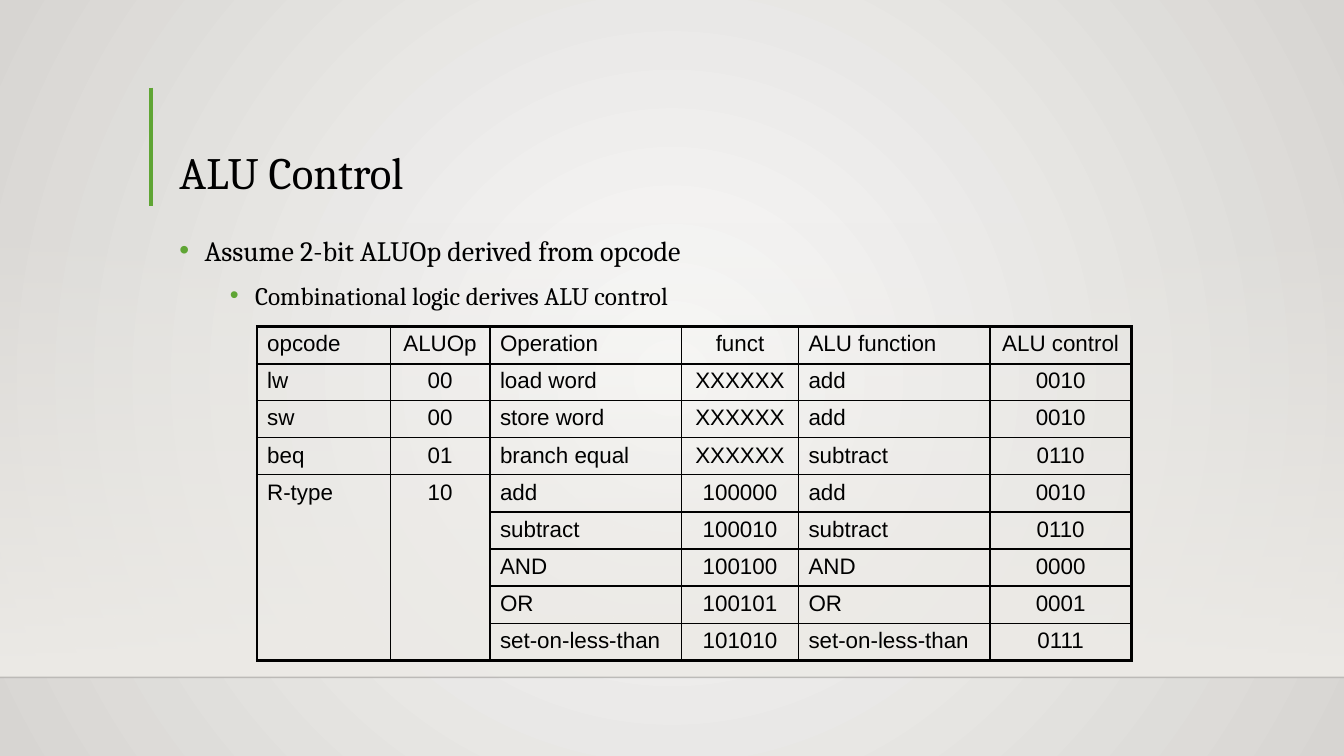
import pptx
import pptx.util
import pptx.oxml
import pptx.oxml.ns
import pptx.dml.color
import pptx.enum.shapes
import pptx.enum.text
import lxml.etree

Inches, Pt = pptx.util.Inches, pptx.util.Pt
ALIGN = pptx.enum.text.PP_ALIGN
ANCHOR = pptx.enum.text.MSO_ANCHOR
qn = pptx.oxml.ns.qn

# Content
TITLE = "ALU Control"
POINTS = [  # text, size, indent, space before
    ("Assume 2-bit ALUOp derived from opcode", 20, 0.25, 0),
    ("Combinational logic derives ALU control", 18, 0.75, 5),
]
ROWS = [
    ("opcode", "ALUOp", "Operation", "funct", "ALU function", "ALU control"),
    ("lw", "00", "load word", "XXXXXX", "add", "0010"),
    ("sw", "00", "store word", "XXXXXX", "add", "0010"),
    ("beq", "01", "branch equal", "XXXXXX", "subtract", "0110"),
    ("R-type", "10", "add", "100000", "add", "0010"),
    ("", "", "subtract", "100010", "subtract", "0110"),
    ("", "", "AND", "100100", "AND", "0000"),
    ("", "", "OR", "100101", "OR", "0001"),
    ("", "", "set-on-less-than", "101010", "set-on-less-than", "0111"),
]
WIDTHS = [1.32, 0.99, 1.9, 1.16, 1.9, 1.4]
HIGH = 0.368
MERGE = 4  # first row of the merged cells
BLACK, GREEN, SAND = "000000", "5FA534", "EDEBE7"


def color(code):
    return pptx.dml.color.RGBColor.from_string(code)


def node(parent, tag, **attrs):
    return lxml.etree.SubElement(parent, qn(tag), attrs)


def write(para, text, size=16, font="Arial", align=ALIGN.LEFT, before=0,
          spacing=1.0, bullet=None, indent=0):
    props = para._p.get_or_add_pPr()
    if bullet:
        props.set("marL", str(Inches(indent)))
        props.set("indent", str(-Inches(0.25)))
        node(node(props, "a:buClr"), "a:srgbClr", val=bullet)
        node(props, "a:buFont", typeface="Arial")
        node(props, "a:buChar", char="•")
    para.alignment = align
    para.line_spacing = spacing
    para.space_before = Pt(before)
    run = para.add_run()
    run.text = text
    run.font.size, run.font.name = Pt(size), font
    run.font.color.rgb = color(BLACK)


def grade(parent, stops):
    grad = node(parent, "a:gradFill", rotWithShape="1")
    group = node(grad, "a:gsLst")
    for place, code, alpha in stops:
        stop = node(node(group, "a:gs", pos=str(place * 1000)),
                    "a:srgbClr", val=code)
        if alpha < 100:
            node(stop, "a:alpha", val=str(alpha * 1000))
    return grad


def rule(x1, y1, x2, y2, code, width, alpha=100):
    line = slide.shapes.add_connector(
        pptx.enum.shapes.MSO_CONNECTOR.STRAIGHT,
        Inches(x1), Inches(y1), Inches(x2), Inches(y2))
    line.line.color.rgb = color(code)
    line.line.width = Pt(width)
    node(line._element.spPr, "a:effectLst")
    if alpha < 100:
        tint = next(line._element.iter(qn("a:srgbClr")))
        node(tint, "a:alpha", val=str(alpha * 1000))


def place(shape, x, y, w, h, anchor):
    shape.left, shape.top = Inches(x), Inches(y)
    shape.width, shape.height = Inches(w), Inches(h)
    frame = shape.text_frame
    frame.auto_size = pptx.enum.text.MSO_AUTO_SIZE.NONE
    frame.vertical_anchor = anchor
    frame.word_wrap = True
    return frame


def border(cell, widths):
    props = cell._tc.get_or_add_tcPr()
    for side, width in widths.items():
        line = node(props, "a:ln" + side, w=str(Pt(width)))
        node(node(line, "a:solidFill"), "a:srgbClr", val=BLACK)


deck = pptx.Presentation()
deck.slide_width, deck.slide_height = Inches(13.33), Inches(7.5)
slide = deck.slides.add_slide(deck.slide_layouts[1])

# Background: round gradient
back = pptx.oxml.parse_xml(
    '<p:bg %s><p:bgPr/></p:bg>' % pptx.oxml.ns.nsdecls("p", "a"))
slide._element.cSld.insert(0, back)
grad = grade(back[0], [(0, "FAFAF9", 100), (100, "D7D5D2", 100)])
node(node(grad, "a:path", path="circle"), "a:fillToRect",
     l="50000", t="50000", r="50000", b="50000")
node(back[0], "a:effectLst")

# Floor shade, behind everything
floor = slide.shapes.add_shape(
    pptx.enum.shapes.MSO_SHAPE.RECTANGLE,
    0, Inches(2.2), Inches(13.33), Inches(4.52))
floor.line.fill.background()
shade = grade(floor._element.spPr, [(0, SAND, 0), (100, SAND, 100)])
node(shade, "a:lin", ang="5400000", scaled="0")
floor._element.spPr.find(qn("a:prstGeom")).addnext(shade)
floor.shadow.inherit = False
slide.shapes._spTree.insert(2, floor._element)

rule(0, 6.72, 13.33, 6.72, "000001", 1, 20)
rule(1.5, 0.87, 1.5, 2.04, GREEN, 3)

# Title and points
head = place(slide.shapes.title, 1.68, 0.88, 10.41, 1.15, ANCHOR.BOTTOM)
write(head.paragraphs[0], TITLE, size=32, font="Cambria", spacing=0.9)
body = place(slide.placeholders[1], 1.68, 2.2, 10.41, 3.77, ANCHOR.TOP)
for i, (text, size, indent, before) in enumerate(POINTS):
    para = body.add_paragraph() if i else body.paragraphs[0]
    para.level = i
    write(para, text, size=size, font="Cambria", before=before,
          spacing=1.2, bullet=GREEN, indent=indent)

# Table
count, cols = len(ROWS), len(WIDTHS)
table = slide.shapes.add_table(
    count, cols, Inches(2.55), Inches(3.24),
    Inches(sum(WIDTHS)), Inches(HIGH * count)).table
table.first_row = table.horz_banding = False
for col, width in zip(table.columns, WIDTHS):
    col.width = Inches(width)
for row in table.rows:
    row.height = Inches(HIGH)
for c in range(2):
    table.cell(MERGE, c).merge(table.cell(count - 1, c))

for r, row in enumerate(ROWS):
    for c, text in enumerate(row):
        cell = table.cell(r, c)
        last = r + (cell.span_height if cell.is_merge_origin else 1) == count
        widths = {
            "L": 2.25 if c == 0 else 1,
            "R": 2.25 if c == cols - 1 else 1,
            "T": {0: 2.25, 1: 1.5}.get(r, 1),
            "B": 2.25 if last else 1.5 if r == 0 else 1,
        }
        if cell.is_spanned:
            del widths["T"]
            if not last:
                del widths["B"]
        border(cell, widths)
        cell.fill.background()
        if text:
            write(cell.text_frame.paragraphs[0], text,
                  align=ALIGN.CENTER if c % 2 else ALIGN.LEFT)

deck.save("out.pptx")
